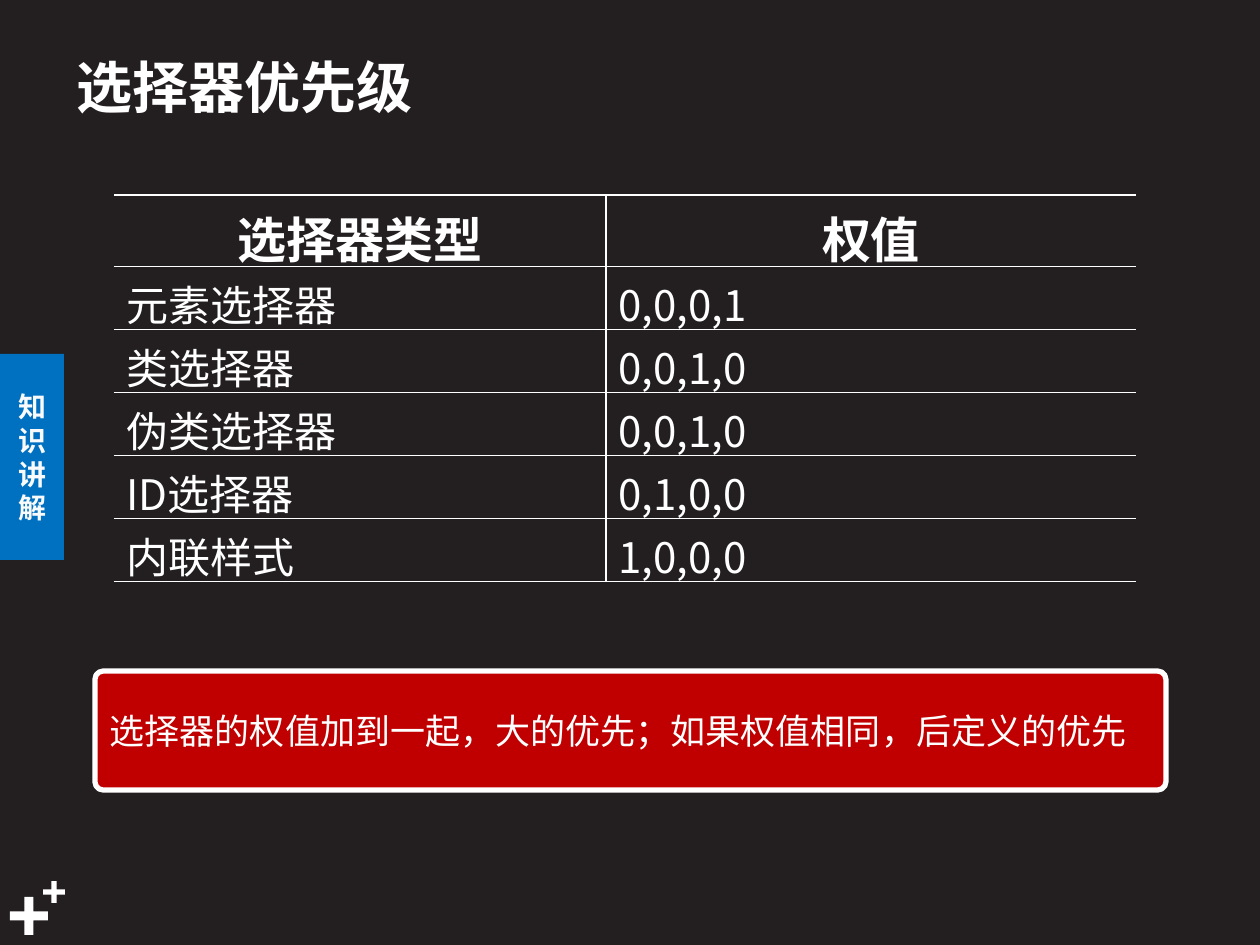
import pptx
import pptx.dml.color
import pptx.enum.shapes
import pptx.enum.text
import pptx.oxml.ns
import pptx.util
from lxml import etree

EMU_PER_PX = 914400 / 126
SHAPE = pptx.enum.shapes.MSO_SHAPE
ALIGN = pptx.enum.text.PP_ALIGN
MIDDLE = pptx.enum.text.MSO_ANCHOR.MIDDLE
WHITE = "FFFFFF"

SELECTOR_ROWS = [
    ("选择器类型", "权值"),
    ("元素选择器", "0,0,0,1"),
    ("类选择器", "0,0,1,0"),
    ("伪类选择器", "0,0,1,0"),
    ("ID选择器", "0,1,0,0"),
    ("内联样式", "1,0,0,0"),
]


def px(length):
    return pptx.util.Emu(round(length * EMU_PER_PX))


def color(hex_string):
    return pptx.dml.color.RGBColor.from_string(hex_string)


def add_xml(parent, tag, **attributes):
    return etree.SubElement(parent, pptx.oxml.ns.qn(tag), attributes)


class SlideBuilder:
    font_name = "Noto Sans CJK SC"
    background = "231F20"

    def __init__(self, presentation):
        self.slide = presentation.slides.add_slide(presentation.slide_layouts[6])
        fill = self.slide.background.fill
        fill.solid()
        fill.fore_color.rgb = color(self.background)

    def set_text(self, frame, text, size, bold=False, align=ALIGN.LEFT, text_color=WHITE):
        paragraph = frame.paragraphs[0]
        paragraph.alignment = align
        run = paragraph.add_run()
        run.text = text
        font_format = {"name": self.font_name, "size": pptx.util.Pt(size), "bold": bold}
        for attribute, value in font_format.items():
            setattr(run.font, attribute, value)
        run.font.color.rgb = color(text_color)
        add_xml(run.font._element, "a:ea", typeface=self.font_name)

    def text(self, box, text, size, **style):
        title = self.slide.shapes.add_textbox(*map(px, box))
        frame_format = {"word_wrap": True, "vertical_anchor": MIDDLE}
        for attribute, value in frame_format.items():
            setattr(title.text_frame, attribute, value)
        self.set_text(title.text_frame, text, size, **style)

    def shape(self, kind, box, fill, adjustment=None, line=None, line_width=3):
        shape = self.slide.shapes.add_shape(kind, *map(px, box))
        shape.shadow.inherit = False
        shape.fill.solid()
        shape.fill.fore_color.rgb = color(fill)
        if adjustment is not None:
            shape.adjustments[0] = adjustment
        if line:
            shape.line.color.rgb = color(line)
            shape.line.width = pptx.util.Pt(line_width)
        else:
            shape.line.fill.background()
        shape.text_frame.vertical_anchor = MIDDLE
        return shape

    def cell_borders(self, cell, visible_sides):
        """Draw white lines on the visible sides and clear the others."""
        properties = cell._tc.get_or_add_tcPr()
        for position, side in enumerate("LRTB"):
            line = add_xml(properties, f"a:ln{side}", w=str(pptx.util.Pt(1)))
            if side in visible_sides:
                add_xml(add_xml(line, "a:solidFill"), "a:srgbClr", val=WHITE)
            else:
                add_xml(line, "a:noFill")
            properties.insert(position, line)

    def table(self, left, top, column_widths, row_height, rows):
        table = self.slide.shapes.add_table(
            len(rows), len(column_widths), px(left), px(top),
            px(sum(column_widths)), px(row_height * len(rows))).table
        table.first_row = table.horz_banding = False
        for column, width in zip(table.columns, column_widths):
            column.width = px(width)
        for row_index, row in enumerate(rows):
            header = row_index == 0
            for column_index, text in enumerate(row):
                cell = table.cell(row_index, column_index)
                cell.fill.background()
                self.cell_borders(cell, "LTB" if column_index else "RTB")
                self.set_text(cell.text_frame, text, 28 if header else 24, bold=header,
                              align=ALIGN.CENTER if header else ALIGN.LEFT)


def main():
    presentation = pptx.Presentation()
    presentation.slide_width, presentation.slide_height = px(1260), px(945)
    builder = SlideBuilder(presentation)

    for plus_box in ((10, 897, 38, 38), (43, 881, 22, 22)):
        builder.shape(SHAPE.CROSS, plus_box, WHITE, adjustment=0.38)

    section_tab = builder.shape(SHAPE.RECTANGLE, (0, 354, 64, 206), "0070C0")
    builder.set_text(section_tab.text_frame, "知识讲解", 16, bold=True,
                     align=ALIGN.CENTER, text_color="F9FAFB")

    builder.text((64, 37, 932, 98), "选择器优先级", 32, bold=True)
    builder.table(114, 195, (492, 530), 60, SELECTOR_ROWS)

    rule_note = builder.shape(SHAPE.ROUNDED_RECTANGLE, (95, 671, 1071, 119), "C00000",
                              adjustment=0.07, line=WHITE)
    builder.set_text(rule_note.text_frame,
                     "选择器的权值加到一起，大的优先；如果权值相同，后定义的优先", 20)

    presentation.save("out.pptx")


if __name__ == "__main__":
    main()
